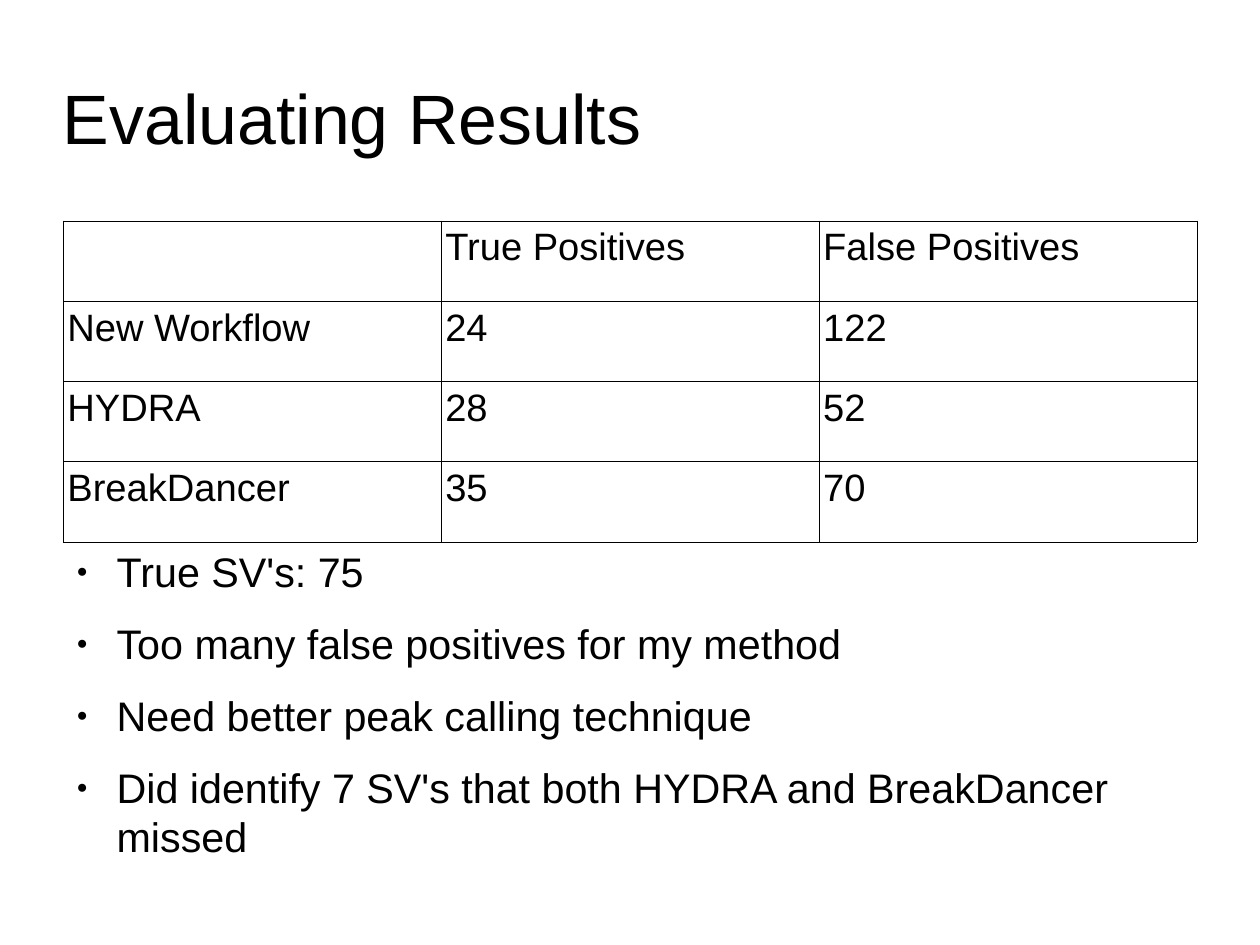
import pptx
import pptx.dml.color
import pptx.enum.text
import pptx.oxml
import pptx.oxml.ns
import pptx.util

Inches, Pt = pptx.util.Inches, pptx.util.Pt
COLOURS = {"text": "000000", "border": "000000", "background": "FFFFFF"}
FONT = "Arial"
SLIDE_SIZE = {"slide_width": pptx.util.Cm(28), "slide_height": pptx.util.Cm(21)}
LEFT, CONTENT_WIDTH = 0.55, 9.92
BORDER_POINTS = 0.06
RESULTS = [
    ["", "True Positives", "False Positives"],
    ["New Workflow", "24", "122"],
    ["HYDRA", "28", "52"],
    ["BreakDancer", "35", "70"],
]
FINDINGS = [
    "True SV's: 75",
    "Too many false positives for my method",
    "Need better peak calling technique",
    "Did identify 7 SV's that both HYDRA and BreakDancer missed",
]


def rgb(name):
    return pptx.dml.color.RGBColor.from_string(COLOURS[name])


def set_all(target, values):
    for name, value in values.items():
        setattr(target, name, value)


def write(paragraph, text, size):
    run = paragraph.add_run()
    run.text = text
    set_all(run.font, {"name": FONT, "size": Pt(size)})
    run.font.color.rgb = rgb("text")


def add_frame(slide, box, anchor):
    frame = slide.shapes.add_textbox(*map(Inches, box)).text_frame
    set_all(frame, {
        "word_wrap": True, "vertical_anchor": anchor,
        "margin_left": 0, "margin_right": 0, "margin_top": 0, "margin_bottom": 0,
    })
    return frame


def add_title(slide, box):
    frame = add_frame(slide, box, pptx.enum.text.MSO_ANCHOR.MIDDLE)
    write(frame.paragraphs[0], "Evaluating Results", 44)


def add_borders(cell):
    properties = cell._tc.get_or_add_tcPr()
    for position, side in enumerate("LRTB"):
        properties.insert(position, pptx.oxml.parse_xml(
            f'<a:ln{side} {pptx.oxml.ns.nsdecls("a")} w="{Pt(BORDER_POINTS)}">'
            f'<a:solidFill><a:srgbClr val="{COLOURS["border"]}"/></a:solidFill>'
            f'</a:ln{side}>'))


def add_results(slide, box):
    table = slide.shapes.add_table(
        len(RESULTS), len(RESULTS[0]), *map(Inches, box)).table
    set_all(table, {"first_row": False, "horz_banding": False})
    for row, values in enumerate(RESULTS):
        for column, value in enumerate(values):
            cell = table.cell(row, column)
            set_all(cell, {
                "margin_left": Inches(0.04), "margin_right": Inches(0.04),
                "margin_top": Inches(0.05), "margin_bottom": Inches(0.05),
            })
            cell.fill.background()
            add_borders(cell)
            if value:
                write(cell.text_frame.paragraphs[0], value, 24)


def add_bullet(paragraph):
    properties = paragraph._p.get_or_add_pPr()
    paragraph.space_after = Pt(14.1)
    properties.set("marL", str(Inches(0.47)))
    properties.set("indent", str(Inches(-0.35)))
    for element in (
        f'<a:buClr {{}}><a:srgbClr val="{COLOURS["text"]}"/></a:buClr>',
        '<a:buSzPct {} val="45000"/>',
        f'<a:buFont {{}} typeface="{FONT}"/>',
        '<a:buChar {} char="●"/>',
    ):
        properties.append(pptx.oxml.parse_xml(
            element.format(pptx.oxml.ns.nsdecls("a"))))


def add_findings(slide, box):
    frame = add_frame(slide, box, pptx.enum.text.MSO_ANCHOR.TOP)
    for index, finding in enumerate(FINDINGS):
        paragraph = frame.add_paragraph() if index else frame.paragraphs[0]
        add_bullet(paragraph)
        write(paragraph, finding, 26)


def main():
    deck = pptx.Presentation()
    set_all(deck, SLIDE_SIZE)
    slide = deck.slides.add_slide(deck.slide_layouts[6])
    slide.background.fill.solid()
    slide.background.fill.fore_color.rgb = rgb("background")
    add_title(slide, (LEFT, 0.33, CONTENT_WIDTH, 1.38))
    add_results(slide, (LEFT, 1.93, CONTENT_WIDTH, 2.81))
    add_findings(slide, (LEFT, 4.78, CONTENT_WIDTH, 2.61))
    deck.save("out.pptx")


if __name__ == "__main__":
    main()
